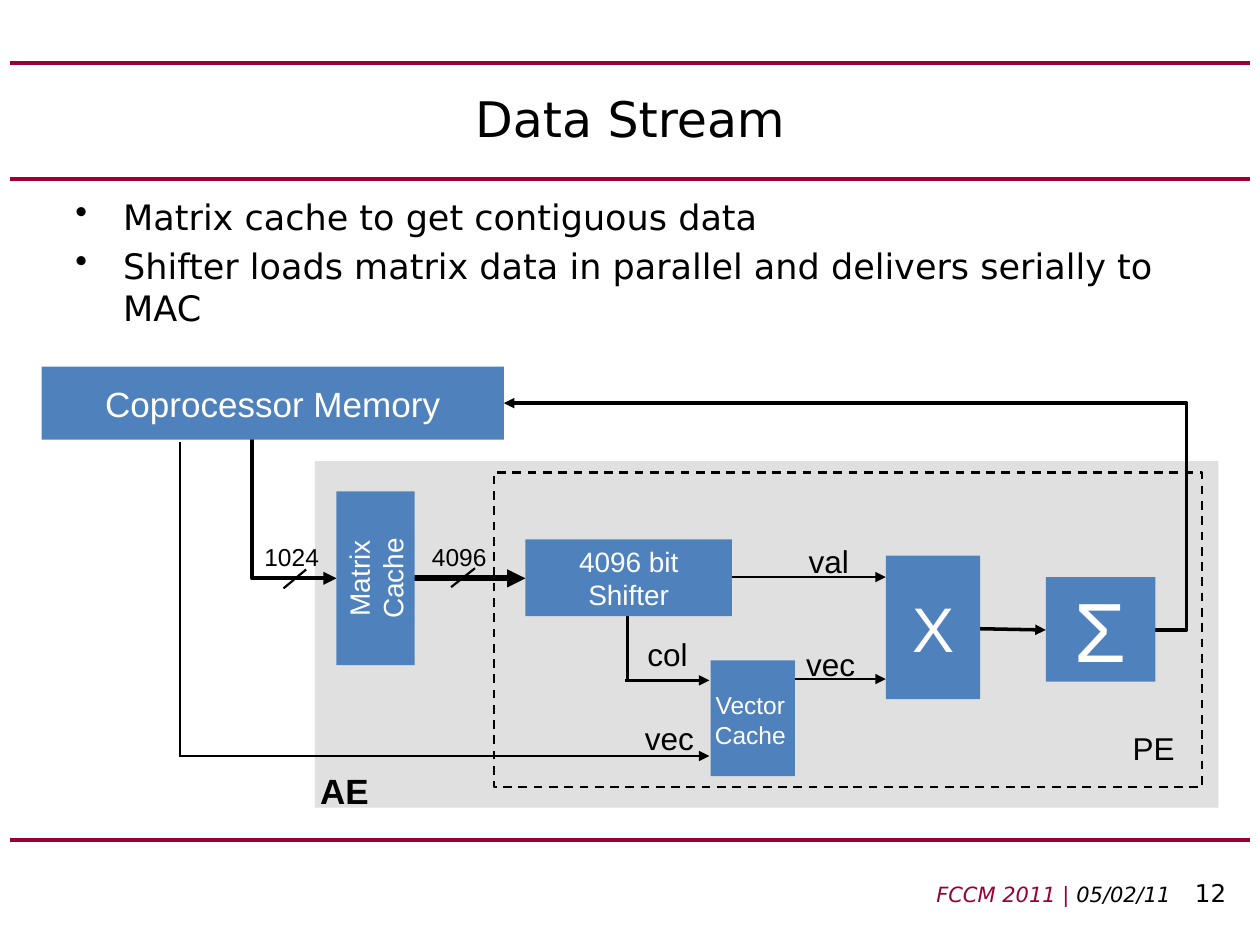
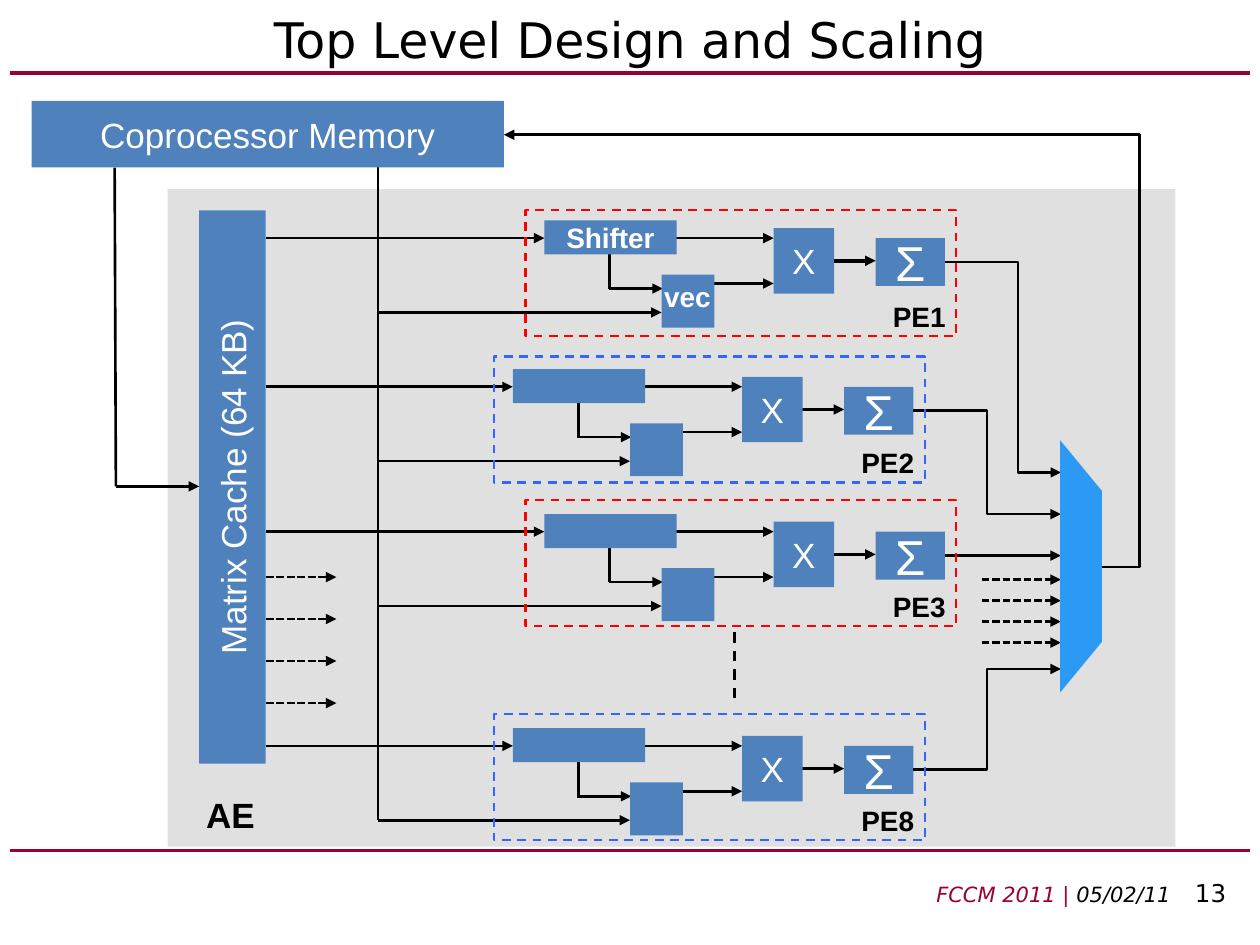
"""Builds two slides on the data stream and the scaling of a sparse matrix engine."""
import dataclasses

import pptx
import pptx.dml.color
import pptx.enum.dml
import pptx.enum.shapes
import pptx.enum.text
import pptx.oxml
import pptx.oxml.ns
import pptx.util


@dataclasses.dataclass(frozen=True)
class Theme:
    accent: str = "990033"
    ink: str = "000000"
    paper: str = "FFFFFF"
    block: str = "4F81BD"
    engine: str = "E0E0E0"
    mux: str = "2C9AF4"
    odd_frame: str = "FF0000"
    even_frame: str = "3366FF"
    heading_font: str = "DejaVu Sans"
    diagram_font: str = "Arial"
    title: int = 28
    body: int = 20
    footer: int = 12
    number: int = 14
    small: int = 14
    medium: int = 16
    signal: int = 18
    large: int = 20
    rule: float = 2.25
    wire: float = 1.5
    frame: float = 1.25


THEME = Theme()
SHAPE = pptx.enum.shapes.MSO_SHAPE
CONNECTOR = pptx.enum.shapes.MSO_CONNECTOR
ALIGN = pptx.enum.text.PP_ALIGN
ANCHOR = pptx.enum.text.MSO_ANCHOR
DASH = pptx.enum.dml.MSO_LINE.DASH
SHORT_DASH = pptx.enum.dml.MSO_LINE.SQUARE_DOT

PAGES = [
    {"title": "Data Stream", "title_box": (0.5, 0.5, 9, 0.87), "rules": (0.5, 1.42, 6.67), "number": "12"},
    {"title": "Top Level Design and Scaling", "title_box": (0.5, 0.03, 9, 0.55), "rules": (0.58, 6.75),
     "number": "13"},
]
EVENT, DATE = "FCCM 2011 | ", "05/02/11\t "
POINTS = [
    "Matrix cache to get contiguous data",
    "Shifter loads matrix data in parallel and delivers serially to MAC",
]

STREAM_BLOCKS = [
    ("Coprocessor Memory", (0.33, 2.91, 3.67, 0.58), THEME.large, False),
    ("Matrix Cache", (2.67, 3.9, 0.62, 1.38), THEME.medium, True),
    ("4096 bit Shifter", (4.17, 4.28, 1.64, 0.61), THEME.medium, False),
    ("", (5.64, 5.24, 0.67, 0.92), THEME.small, False),
    ("X", (7.03, 4.41, 0.75, 1.14), 36, False),
    ("Σ", (8.3, 4.58, 0.87, 0.83), 48, False),
]
STREAM_WIRES = [
    ((6.28, 5.39), (7.03, 5.39), 1.5, True),
    ((5.78, 4.58), (7.03, 4.58), 1.5, True),
    ((7.77, 4.99), (8.3, 5), 2, True),
    ((3.25, 4.59), (4.17, 4.59), 3.5, True),
    ((1.43, 6), (1.43, 3.51), 1.5, False),
    ((1.42, 6), (5.63, 6), 1.5, True),
    ((4.98, 4.89), (4.98, 5.41), 1.5, False),
    ((4.96, 5.4), (5.63, 5.4), 1.5, True),
    ((2.43, 4.52), (2.25, 4.67), 1.25, False),
    ((3.77, 4.51), (3.58, 4.66), 1.25, False),
]
STREAM_SIGNALS = [
    ("val", (6.32, 4.25, 0.65, 0.4), THEME.signal),
    ("vec", (6.3, 5.07, 0.65, 0.4), THEME.signal),
    ("col", (5.04, 4.99, 0.65, 0.5), THEME.signal),
    ("vec", (5.02, 5.66, 0.65, 0.4), THEME.signal),
    ("PE", (8.89, 5.74, 0.55, 0.42), THEME.signal),
    ("1024", (2, 4.25, 0.83, 0.34), THEME.small),
    ("4096", (3.33, 4.25, 0.83, 0.34), THEME.small),
]

ELEMENTS = [
    {"name": "PE1", "left": 4.17, "top": 1.67, "parts": 1.75, "shifter": "Shifter",
     "mux": 3.75, "bend": 0.63, "color": THEME.odd_frame},
    {"name": "PE2", "left": 3.92, "top": 2.83, "parts": 2.93, "shifter": "",
     "mux": 4.08, "bend": 0.5, "color": THEME.even_frame},
    {"name": "PE3", "left": 4.17, "top": 3.97, "parts": 4.08, "shifter": "",
     "mux": 4.41, "bend": None, "color": THEME.odd_frame},
    {"name": "PE8", "left": 3.92, "top": 5.67, "parts": 5.78, "shifter": "",
     "mux": 5.31, "bend": 0.5, "color": THEME.even_frame},
]
ELEMENT_WIRES = [
    ((1.49, 0.5), (1.97, 0.5), 1.5, True),
    ((1.17, 0.14), (1.97, 0.14), 1.5, True),
    ((2.44, 0.32), (2.78, 0.32), 2, True),
    ((0.67, 0.21), (0.67, 0.54), 1.5, False),
    ((0.66, 0.54), (1.09, 0.54), 1.5, True),
]
MEMORY_BUS, CACHE_EDGE, MUX_EDGE = 3, 2.11, 8.42
HIDDEN_ELEMENTS = 4


def cm(inches):
    return pptx.util.Cm(inches * 2.54)


def rgb(color):
    return pptx.dml.color.RGBColor.from_string(color)


def style(run, size, color, font, bold=False, italic=False):
    run.font.size = pptx.util.Pt(size)
    run.font.name = font
    run.font.color.rgb = rgb(color)
    run.font.bold, run.font.italic = bold, italic


def child(parent, tag, **attributes):
    node = pptx.oxml.parse_xml(f"<a:{tag} {pptx.oxml.ns.nsdecls('a')}/>")
    for key, value in attributes.items():
        node.set(key, value)
    parent.append(node)


def write(shapes, words, box, size, color=THEME.ink, font=THEME.diagram_font, align=ALIGN.LEFT,
          anchor=ANCHOR.TOP, bold=False):
    label = shapes.add_textbox(*map(cm, box))
    frame = label.text_frame
    frame.word_wrap = True
    frame.vertical_anchor = anchor
    frame.text = words
    for paragraph in frame.paragraphs:
        paragraph.alignment = align
        for run in paragraph.runs:
            style(run, size, color, font, bold)
    return frame


def draw_block(shapes, box, words="", size=THEME.large, fill=THEME.block, vertical=False, bold=False,
               kind=SHAPE.RECTANGLE):
    block = shapes.add_shape(kind, *map(cm, box))
    block.shadow.inherit = False
    block.fill.solid()
    block.fill.fore_color.rgb = rgb(fill)
    block.line.fill.background()
    if words:
        block.text_frame.text = words
        block.text_frame.paragraphs[0].alignment = ALIGN.CENTER
        style(block.text_frame.paragraphs[0].runs[0], size, THEME.paper, THEME.diagram_font, bold)
    if vertical:
        block.element.txBody.bodyPr.set("vert", "vert270")
    return block


def draw_frame(shapes, box, color):
    outline = shapes.add_shape(SHAPE.RECTANGLE, *map(cm, box))
    outline.shadow.inherit = False
    outline.fill.background()
    outline.line.color.rgb = rgb(color)
    outline.line.width = pptx.util.Pt(THEME.frame)
    outline.line.dash_style = DASH


def draw_wire(shapes, start, end, width=THEME.wire, arrow=True, dash=None, color=THEME.ink, bend=None):
    kind = CONNECTOR.STRAIGHT if bend is None else CONNECTOR.ELBOW
    wire = shapes.add_connector(kind, *map(cm, (*start, *end)))
    wire.line.color.rgb = rgb(color)
    wire.line.width = pptx.util.Pt(width)
    if dash:
        wire.line.dash_style = dash
    properties = wire.element.spPr
    if arrow:
        child(properties.find(pptx.oxml.ns.qn("a:ln")), "tailEnd", type="triangle")
    if bend is not None:
        guides = properties.find(".//" + pptx.oxml.ns.qn("a:avLst"))
        child(guides, "gd", name="adj1", fmla=f"val {round(bend * 100000)}")
    child(properties, "effectLst")
    return wire


def draw_corner(shapes, start, end, width):
    across, down = end[0] - start[0], end[1] - start[1]
    middle_x, middle_y = start[0] + across / 2, start[1] + down / 2
    corner = draw_wire(shapes, (middle_x + down / 2, middle_y - across / 2),
                       (middle_x - down / 2, middle_y + across / 2), width)
    properties = corner.element.spPr
    properties.find(pptx.oxml.ns.qn("a:prstGeom")).set("prst", "bentConnector2")
    properties.find(pptx.oxml.ns.qn("a:xfrm")).set("rot", "16200000")


def add_page(deck, page):
    shapes = deck.slides.add_slide(deck.slide_layouts[6]).shapes
    for height in page["rules"]:
        draw_wire(shapes, (0.08, height), (9.92, height), THEME.rule, False, color=THEME.accent)
    write(shapes, page["title"], page["title_box"], THEME.title, font=THEME.heading_font,
          align=ALIGN.CENTER, anchor=ANCHOR.MIDDLE)
    footer = write(shapes, EVENT, (3.08, 6.92, 6.75, 0.33), THEME.footer, THEME.accent,
                   THEME.heading_font, ALIGN.RIGHT).paragraphs[0]
    footer.runs[0].font.italic = True
    for words, size, italic in ((DATE, THEME.footer, True), (page["number"], THEME.number, False)):
        run = footer.add_run()
        run.text = words
        style(run, size, THEME.ink, THEME.heading_font, italic=italic)
    return shapes


def build_stream(shapes):
    points = write(shapes, "\n".join(POINTS), (0.5, 1.5, 9, 1.25), THEME.body, font=THEME.heading_font)
    for paragraph in points.paragraphs:
        paragraph.space_before = pptx.util.Pt(THEME.body * 0.2)
        properties = paragraph._p.get_or_add_pPr()
        properties.set("marL", str(cm(0.38)))
        properties.set("indent", str(-cm(0.38)))
        child(properties, "buChar", char="•")
    draw_block(shapes, (2.5, 3.66, 7.17, 2.75), fill=THEME.engine)
    draw_frame(shapes, (3.92, 3.75, 5.62, 2.5), THEME.ink)
    for wire in STREAM_WIRES:
        draw_wire(shapes, *wire)
    draw_wire(shapes, (9.17, 5), (4, 3.2), 2, bend=-0.048)
    draw_corner(shapes, (2, 3.48), (2.67, 4.59), 2.5)
    for words, box, size, vertical in STREAM_BLOCKS:
        draw_block(shapes, box, words, size, vertical=vertical)
    write(shapes, "Vector Cache", (5.33, 5.43, 1.25, 0.57), THEME.small, THEME.paper, align=ALIGN.CENTER)
    for signal in STREAM_SIGNALS:
        write(shapes, *signal)
    write(shapes, "AE", (2.4, 6.06, 0.67, 0.44), THEME.large, align=ALIGN.CENTER, bold=True)


def build_element(shapes, element):
    left, top = element["left"], element["parts"]
    parts = shapes.add_group_shape().shapes
    for (x1, y1), (x2, y2), width, arrow in ELEMENT_WIRES:
        draw_wire(parts, (left + x1, top + y1), (left + x2, top + y2), width, arrow)
    draw_block(parts, (left + 0.15, top, 1.05, 0.27), element["shifter"], THEME.medium, bold=True)
    draw_block(parts, (left + 1.08, top + 0.43, 0.42, 0.42))
    draw_block(parts, (left + 1.97, top + 0.06, 0.48, 0.52), "X", THEME.large)
    draw_block(parts, (left + 2.78, top + 0.14, 0.55, 0.38), "Σ", THEME.title)
    draw_wire(shapes, (CACHE_EDGE, top + 0.14), (left + 0.15, top + 0.14))
    draw_wire(shapes, (MEMORY_BUS, top + 0.73), (left + 1.08, top + 0.73))
    draw_wire(shapes, (left + 3.33, top + 0.33), (MUX_EDGE, element["mux"]), bend=element["bend"])
    draw_frame(shapes, (left, element["top"], 3.42, 1), element["color"])
    write(shapes, element["name"], (left + 2.75, element["top"] + 0.66, 0.75, 0.37), THEME.medium,
          align=ALIGN.CENTER, bold=True)


def build_scaling(shapes):
    engine = draw_block(shapes, (1.33, 1.5, 8, 5.22), fill=THEME.engine)
    shapes._spTree.insert(2, engine.element)
    draw_wire(shapes, (MEMORY_BUS, 1.32), (MEMORY_BUS, 6.51), arrow=False)
    for element in ELEMENTS:
        build_element(shapes, element)
    write(shapes, "vec", (5.08, 2.17, 0.75, 0.37), THEME.medium, THEME.paper, align=ALIGN.CENTER, bold=True)
    for index in range(HIDDEN_ELEMENTS):
        cache_y, mux_y = 4.58 + index / 3, 4.6 + index / 6
        draw_wire(shapes, (CACHE_EDGE, cache_y), (2.67, cache_y), dash=SHORT_DASH)
        draw_wire(shapes, (7.79, mux_y), (MUX_EDGE, mux_y), dash=SHORT_DASH)
    draw_wire(shapes, (5.83, 5.02), (5.83, 5.6), arrow=False, dash=DASH)
    draw_wire(shapes, (0.91, 1.33), (0.92, 3.86), arrow=False)
    draw_wire(shapes, (0.92, 3.86), (1.58, 3.86))
    draw_wire(shapes, (8.75, 4.5), (4, 1.07), bend=-0.062)
    mux = draw_block(shapes, (7.58, 4.33, 2, 0.33), fill=THEME.mux, kind=SHAPE.FLOWCHART_MANUAL_OPERATION)
    mux.rotation = 270
    draw_block(shapes, (0.25, 0.8, 3.75, 0.53), "Coprocessor Memory")
    draw_block(shapes, (1.58, 1.67, 0.53, 4.39), "Matrix Cache (64 KB)", vertical=True)
    write(shapes, "AE", (1.33, 6.25, 1, 0.44), THEME.large, align=ALIGN.CENTER, bold=True)


deck = pptx.Presentation()
deck.slide_width, deck.slide_height = cm(10), cm(7.5)
for page, build in zip(PAGES, (build_stream, build_scaling)):
    build(add_page(deck, page))
deck.save("out.pptx")
